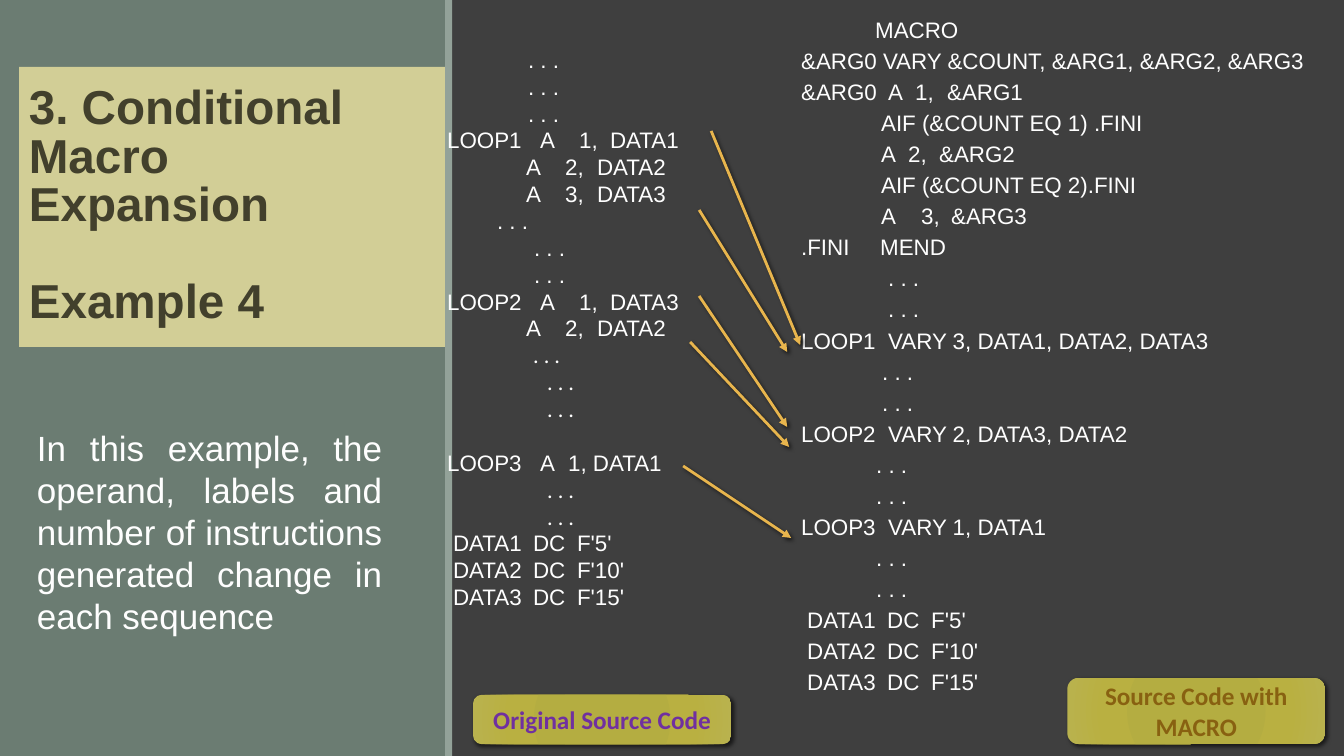
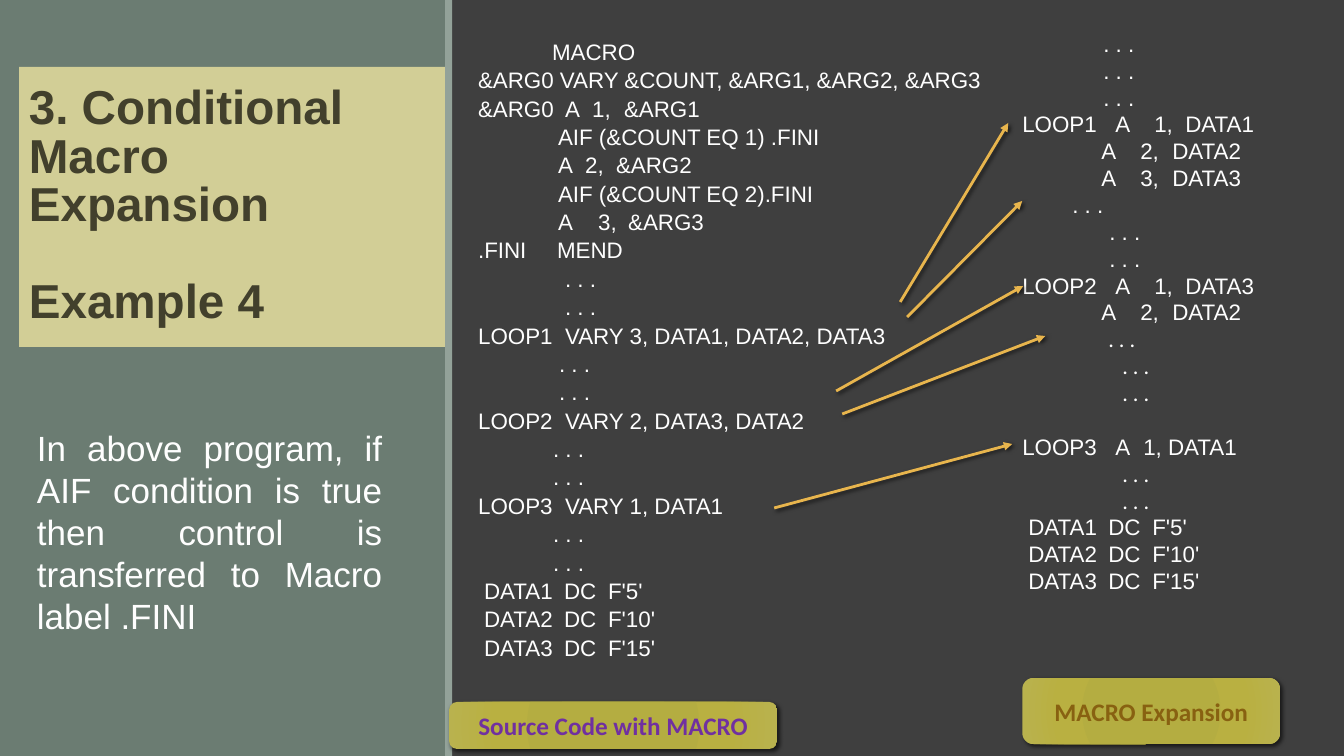
import pptx
import pptx.dml.color
import pptx.enum.shapes
import pptx.enum.text
import pptx.oxml
import pptx.oxml.ns
import pptx.util

PX = 914400 / 100.8
RECT = pptx.enum.shapes.MSO_SHAPE.RECTANGLE
ROUNDED = pptx.enum.shapes.MSO_SHAPE.ROUNDED_RECTANGLE
STRAIGHT = pptx.enum.shapes.MSO_CONNECTOR.STRAIGHT
ALIGN = pptx.enum.text.PP_ALIGN
MIDDLE = pptx.enum.text.MSO_ANCHOR.MIDDLE

DARK, GREEN, PALE_GREEN = "3F3F3F", "6B7C72", "93A299"
SAND, BROWN, WHITE = "D2CE96", "42402C", "FEFEFE"
AMBER, PURPLE, OCHRE = "E8B54D", "7030A0", "886111"

NS = pptx.oxml.ns.nsdecls("a")
SHADOW = (f'<a:effectLst {NS}><a:outerShdw blurRad="38100" dist="25400" dir="2700000" '
          'algn="tl" rotWithShape="0"><a:srgbClr val="000000"><a:alpha val="60000"/>'
          '</a:srgbClr></a:outerShdw></a:effectLst>')
GLOW_STOPS = [(0, "B5AC3F"), (34, "B4AD41"), (70, "B9B041"), (100, "B9B24E")]
GLOW = (f'<a:gradFill {NS} rotWithShape="1"><a:gsLst>'
        + "".join(f'<a:gs pos="{pos * 1000}"><a:srgbClr val="{tone}"/></a:gs>'
                  for pos, tone in GLOW_STOPS)
        + '</a:gsLst><a:path path="circle"><a:fillToRect l="50000" t="50000" '
          'r="50000" b="50000"/></a:path></a:gradFill>')
ARROWHEAD = f'<a:tailEnd {NS} type="triangle"/>'

# Code lines: words parted by "|", the pixel where each starts, and a font if not Arial
DOTS = ". . ."
DATA = [(f"DATA{n}|DC|F'{5 * n}'", (6, 86, 130)) for n in (1, 2, 3)]
MACRO = [
    ("MACRO", (74,)),
    ("&ARG0 VARY &COUNT, &ARG1, &ARG2, &ARG3", (0,)),
    ("&ARG0|A|1,|&ARG1", (0, 87, 114, 146)),
    ("AIF (&COUNT EQ 1) .FINI", (80,)),
    ("A|2,|&ARG2", (80, 107, 138)),
    ("AIF (&COUNT EQ 2).FINI", (80,)),
    ("A|3,|&ARG3", (80, 120, 150)),
    (".FINI|MEND", (0, 79)),
    *[(DOTS, (87,))] * 2,
    ("LOOP1|VARY 3, DATA1, DATA2, DATA3", (0, 87)),
    *[(DOTS, (81,))] * 2,
    ("LOOP2|VARY 2, DATA3, DATA2", (0, 87)),
    *[(DOTS, (75,))] * 2,
    ("LOOP3|VARY 1, DATA1", (0, 87)),
    *[(DOTS, (75,))] * 2,
    *DATA,
]
FIRST, NEXT = (0, 93, 132, 163), (79, 118, 150)
EXPANSION = [
    *[(DOTS, (81,))] * 3,
    ("LOOP1|A|1,|DATA1", FIRST),
    ("A|2,|DATA2", NEXT),
    ("A|3,|DATA3", NEXT),
    (DOTS, (50,)),
    *[(DOTS, (87,))] * 2,
    ("LOOP2|A|1,|DATA3", FIRST),
    ("A|2,|DATA2", NEXT),
    (DOTS, (86,), "Calibri"),
    *[(DOTS, (100,), "Calibri")] * 2,
    ("LOOP3|A|1, DATA1", (0, 93, 121)),
    *[(DOTS, (100,), "Calibri")] * 2,
    *DATA,
]

# Listings: lines, left, top, width, height, line spacing, points between lines
SLIDES = [
    dict(
        remark="In this example, the operand, labels and number of instructions "
               "generated change in each sequence",
        listings=[(MACRO, 801, 11, 536, 701, 1.0, 3),
                  (EXPANSION, 447, 41, 262, 591, 1.0, 0)],
        arrows=[(711, 131, 800, 345), (699, 210, 787, 352), (699, 296, 787, 427),
                (690, 342, 789, 447), (683, 466, 791, 538)],
        captions=[("Original Source Code", PURPLE, 473, 695, 258, 49),
                  ("Source Code with MACRO", OCHRE, 1067, 678, 258, 66)],
    ),
    dict(
        remark="In above program, if AIF condition is true then control is "
               "transferred to Macro label .FINI",
        listings=[(MACRO, 478, 36, 536, 690, 0.9, 3),
                  (EXPANSION, 1022, 25, 308, 591, 1.0, 0)],
        arrows=[(907, 317, 1022, 201), (900, 302, 1008, 123), (836, 391, 1023, 286),
                (774, 508, 1012, 444), (842, 414, 1045, 336)],
        captions=[("Source Code with MACRO", PURPLE, 449, 702, 328, 47),
                  ("MACRO Expansion", OCHRE, 1022, 678, 258, 66)],
    ),
]


def paint(fill, tone):
    """Make a fill of a shape, line, font or background one solid colour."""
    fill.solid()
    fill.fore_color.rgb = pptx.dml.color.RGBColor.from_string(tone)


def style(paragraph, font, size, tone, bold=False):
    """Give every run of a paragraph its font, size and colour."""
    for run in paragraph.runs:
        run.font.name = font
        run.font.size = pptx.util.Pt(size)
        run.font.bold = bold
        paint(run.font.fill, tone)


deck = pptx.Presentation()
deck.slide_width = pptx.util.Inches(13.33)
deck.slide_height = pptx.util.Inches(7.5)

for content in SLIDES:
    slide = deck.slides.add_slide(deck.slide_layouts[6])
    paint(slide.background.fill, DARK)

    bands = []
    for tone, *place in [(GREEN, 0, 0, 447, 756), (SAND, 19, 67, 426, 280),
                         (PALE_GREEN, 445, 0, 7, 756)]:
        band = slide.shapes.add_shape(RECT, *[round(v * PX) for v in place])
        band.shadow.inherit = False
        paint(band.fill, tone)
        band.line.fill.background()
        bands.append(band)

    title = bands[1].text_frame
    title.word_wrap = True
    title.vertical_anchor = MIDDLE
    title.margin_right = round(40 * PX)
    title.text = "3. Conditional Macro Expansion\nExample 4"
    for heading in title.paragraphs:
        heading.alignment = ALIGN.LEFT
        heading.line_spacing = 0.85
        style(heading, "Arial", 34, BROWN, bold=True)
    title.paragraphs[1].space_before = pptx.util.Pt(34.6)

    remark = slide.shapes.add_textbox(*[round(v * PX) for v in (37, 422, 345, 266)]).text_frame
    remark.word_wrap = True
    remark.margin_left = remark.margin_right = 0
    remark.text = content["remark"]
    remark.paragraphs[0].alignment = ALIGN.JUSTIFY
    style(remark.paragraphs[0], "Arial", 25, WHITE)

    for lines, *place, spacing, gap in content["listings"]:
        listing = slide.shapes.add_textbox(*[round(v * PX) for v in place]).text_frame
        listing.word_wrap = True
        listing.margin_left = listing.margin_right = 0
        listing.text = "\n".join(("\t" if starts[0] else "") + words.replace("|", "\t")
                                 for words, starts, *_ in lines)
        for index, (words, starts, *font) in enumerate(lines):
            code = listing.paragraphs[index]
            code.line_spacing = spacing
            code.space_before = pptx.util.Pt(gap if index else 0)
            if lines is EXPANSION and words.startswith("LOOP3"):
                code.space_before = pptx.util.Pt(19.2)
            style(code, font[0] if font else "Arial", 16, WHITE)
            stops = "".join(f'<a:tab pos="{round(x * PX)}" algn="l"/>' for x in starts if x)
            if stops:
                code._p.get_or_add_pPr().append(
                    pptx.oxml.parse_xml(f"<a:tabLst {NS}>{stops}</a:tabLst>"))

    for ends in content["arrows"]:
        arrow = slide.shapes.add_connector(STRAIGHT, *[round(v * PX) for v in ends])
        paint(arrow.line.fill, AMBER)
        arrow.line.width = pptx.util.Pt(2)
        arrow.line._get_or_add_ln().append(pptx.oxml.parse_xml(ARROWHEAD))
        arrow._element.spPr.append(pptx.oxml.parse_xml(SHADOW))

    for words, tone, *place in content["captions"]:
        caption = slide.shapes.add_shape(ROUNDED, *[round(v * PX) for v in place])
        caption.line.fill.background()
        caption._element.spPr.insert(2, pptx.oxml.parse_xml(GLOW))
        caption._element.spPr.append(pptx.oxml.parse_xml(SHADOW))
        caption.text_frame.word_wrap = True
        caption.text_frame.vertical_anchor = MIDDLE
        caption.text_frame.text = words
        caption.text_frame.paragraphs[0].alignment = ALIGN.CENTER
        style(caption.text_frame.paragraphs[0], "Calibri", 18, tone, bold=True)

deck.save("out.pptx")
